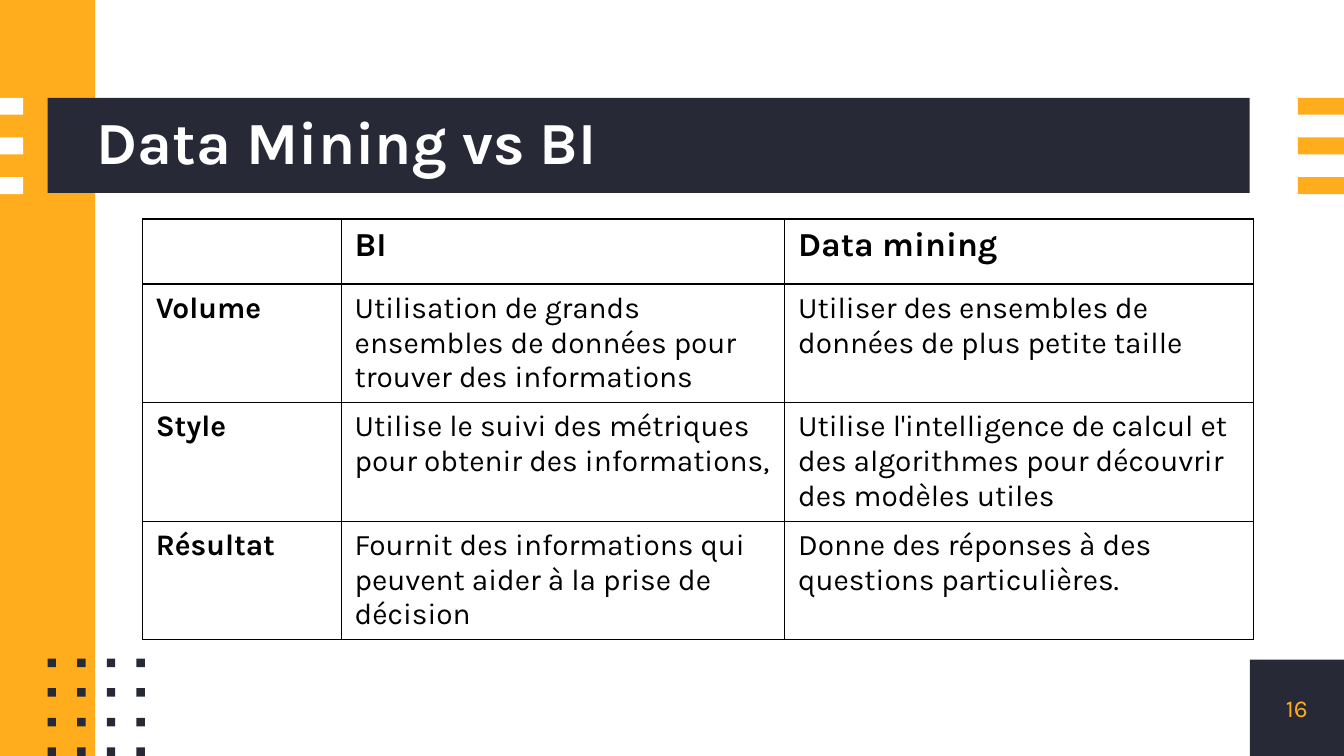
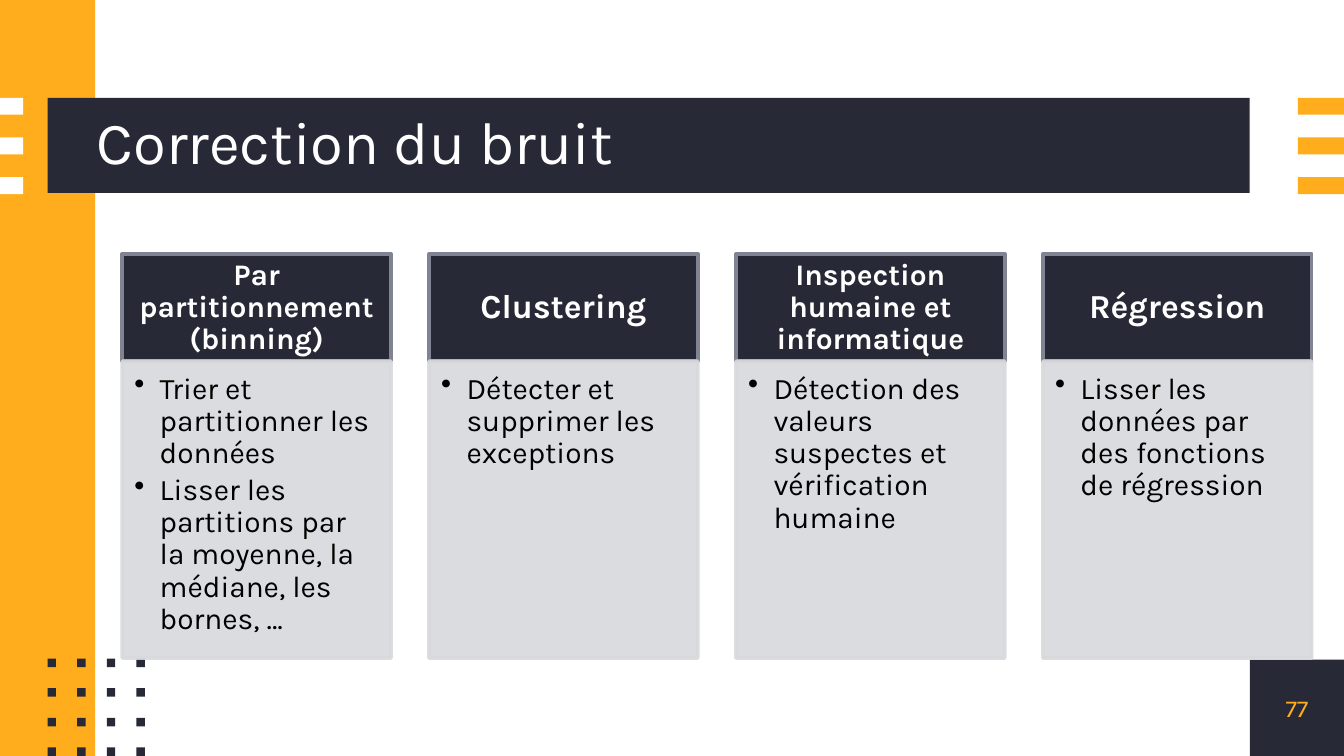
import pptx
import pptx.dml.color
import pptx.enum.shapes
import pptx.enum.text
import pptx.oxml
import pptx.oxml.ns
import pptx.util
from lxml import etree

Cm = pptx.util.Cm
Pt = pptx.util.Pt
Align = pptx.enum.text.PP_ALIGN
Anchor = pptx.enum.text.MSO_ANCHOR

# Shared look
FONT = "Karla"
NAVY, AMBER, WHITE, BLACK = "272A36", "FFAD1D", "FFFFFF", "000000"
GREY_EDGE, PALE_GREY = "808392", "D8D9DC"
SLIDE_W, SLIDE_H = 25.4, 14.29
BAND_LEFT, BAND_TOP, BAND_H = 0.9, 1.85, 1.8
PAGE_LEFT, PAGE_TOP = 23.62, 12.47

# Comparison table
TABLE_LEFT, TABLE_TOP = 2.69, 4.14
TABLE_COLUMNS = (3.76, 8.38, 8.86)
TABLE_ROWS = (1.23, 2.24, 2.24, 2.24)
COMPARISON = (
    ("", "BI", "Data mining"),
    ("Volume",
     "Utilisation de grands ensembles de données pour trouver des informations",
     "Utiliser des ensembles de données de plus petite taille"),
    ("Style",
     "Utilise le suivi des métriques pour obtenir des informations,",
     "Utilise l'intelligence de calcul et des algorithmes pour découvrir "
     "des modèles utiles"),
    ("Résultat",
     "Fournit des informations qui peuvent aider à la prise de décision",
     "Donne des réponses à des questions particulières."),
)

# Noise correction cards: heading, heading size, bullets
CARD_LEFT, CARD_PITCH, CARD_W = 2.31, 5.8, 5.08
HEADING_TOP, HEADING_H, DETAIL_H = 4.8, 2.03, 5.61
METHODS = (
    ("Par partitionnement (binning)", 16,
     ("Trier et partitionner les données",
      "Lisser les partitions par la moyenne, la médiane, les bornes, …")),
    ("Clustering", 18, ("Détecter et supprimer les exceptions",)),
    ("Inspection humaine et informatique", 16,
     ("Détection des valeurs suspectes et vérification humaine",)),
    ("Régression", 18, ("Lisser les données par des fonctions de régression",)),
)


def color(hex_value):
    return pptx.dml.color.RGBColor.from_string(hex_value)


def add_run(paragraph, text, size, hex_value, bold=False):
    run = paragraph.add_run()
    run.text = text
    run.font.name = FONT
    run.font.size = Pt(size)
    run.font.bold = bold
    run.font.color.rgb = color(hex_value)


def set_frame(frame, insets, anchor=Anchor.MIDDLE):
    frame.word_wrap = True
    frame.auto_size = pptx.enum.text.MSO_AUTO_SIZE.NONE
    frame.vertical_anchor = anchor
    (frame.margin_left, frame.margin_top,
     frame.margin_right, frame.margin_bottom) = map(Cm, insets)


def add_rect(slide, left, top, width, height, fill, edge=None):
    rect = slide.shapes.add_shape(
        pptx.enum.shapes.MSO_SHAPE.RECTANGLE,
        Cm(left), Cm(top), Cm(width), Cm(height))
    rect.shadow.inherit = False
    rect.fill.solid()
    rect.fill.fore_color.rgb = color(fill)
    if edge:
        rect.line.color.rgb = color(edge)
        rect.line.width = Pt(2)
    else:
        rect.line.fill.background()
    return rect


def set_opacity(shape, percent):
    """Apply one opacity to the fill and the outline."""
    properties = shape.element.spPr
    for tone in properties.iter(pptx.oxml.ns.qn("a:srgbClr")):
        alpha = etree.SubElement(tone, pptx.oxml.ns.qn("a:alpha"))
        alpha.set("val", str(percent * 1000))


def add_bullet(paragraph):
    properties = paragraph._p.get_or_add_pPr()
    properties.set("marL", str(Cm(0.48)))
    properties.set("indent", str(-Cm(0.48)))
    bullet_color = etree.SubElement(properties, pptx.oxml.ns.qn("a:buClr"))
    etree.SubElement(bullet_color, pptx.oxml.ns.qn("a:srgbClr")).set("val", BLACK)
    etree.SubElement(properties, pptx.oxml.ns.qn("a:buChar")).set("char", "•")


def set_borders(cell):
    properties = cell._tc.get_or_add_tcPr()
    for position, side in enumerate(("lnL", "lnR", "lnT", "lnB")):
        border = pptx.oxml.parse_xml(
            f'<a:{side} {pptx.oxml.ns.nsdecls("a")} w="{Pt(0.75)}"><a:solidFill>'
            f'<a:srgbClr val="{BLACK}"/></a:solidFill></a:{side}>')
        properties.insert(position, border)


def add_decor(slide):
    add_rect(slide, 0, 0, 1.8, SLIDE_H, AMBER)
    add_rect(slide, BAND_LEFT, BAND_TOP, PAGE_LEFT - BAND_LEFT, BAND_H, NAVY)
    # Stripes at both edges
    for left, width, fill in ((0, 0.44, WHITE), (24.53, 0.87, AMBER)):
        for step in range(3):
            add_rect(slide, left, BAND_TOP + step * 0.75, width, 0.32, fill)
    # Dot grid
    for row in range(4):
        for column in range(4):
            add_rect(slide, 0.9 + column * 0.56, 12.45 + row * 0.56,
                     0.16, 0.16, NAVY)


def add_page_number(slide, number):
    page = add_rect(slide, PAGE_LEFT, PAGE_TOP, SLIDE_W - PAGE_LEFT,
                    SLIDE_H - PAGE_TOP, NAVY)
    set_frame(page.text_frame, (0, 0, 0, 0))
    paragraph = page.text_frame.paragraphs[0]
    paragraph.alignment = Align.CENTER
    add_run(paragraph, str(number), 13, AMBER)


def add_slide(deck, heading, number, bold=False):
    slide = deck.slides.add_slide(deck.slide_layouts[5])
    add_decor(slide)
    add_page_number(slide, number)
    title = slide.shapes.title
    title.left, title.top = Cm(1.83), Cm(BAND_TOP)
    title.width, title.height = Cm(PAGE_LEFT - 1.83), Cm(BAND_H)
    set_frame(title.text_frame, (0, 0, 0, 0))
    paragraph = title.text_frame.paragraphs[0]
    paragraph.alignment = Align.LEFT
    paragraph.line_spacing = 0.9
    add_run(paragraph, heading, 32, WHITE, bold)
    # Bring the title in front of its band
    title.element.getparent().append(title.element)
    return slide


def add_comparison(slide):
    table = slide.shapes.add_table(
        len(TABLE_ROWS), len(TABLE_COLUMNS), Cm(TABLE_LEFT), Cm(TABLE_TOP),
        Cm(sum(TABLE_COLUMNS)), Cm(sum(TABLE_ROWS))).table
    table.first_row = table.horz_banding = False
    for column, width in zip(table.columns, TABLE_COLUMNS):
        column.width = Cm(width)
    for row, height in zip(table.rows, TABLE_ROWS):
        row.height = Cm(height)
    for r, texts in enumerate(COMPARISON):
        for c, text in enumerate(texts):
            cell = table.cell(r, c)
            cell.fill.background()
            set_borders(cell)
            if text:
                add_run(cell.text_frame.paragraphs[0], text,
                        18 if r == 0 else 16, BLACK, r == 0 or c == 0)


def add_card(slide, left, name, size, points):
    heading = add_rect(slide, left, HEADING_TOP, CARD_W, HEADING_H, NAVY, GREY_EDGE)
    set_frame(heading.text_frame, (0.3, 0.18, 0.3, 0.18))
    paragraph = heading.text_frame.paragraphs[0]
    paragraph.alignment = Align.CENTER
    paragraph.line_spacing = 0.9
    add_run(paragraph, name, size, WHITE, True)

    detail = add_rect(slide, left, HEADING_TOP + HEADING_H, CARD_W, DETAIL_H,
                      PALE_GREY, PALE_GREY)
    set_opacity(detail, 90)
    frame = detail.text_frame
    set_frame(frame, (0.23, 0.23, 0.3, 0.36), Anchor.TOP)
    for index, point in enumerate(points):
        paragraph = frame.add_paragraph() if index else frame.paragraphs[0]
        add_bullet(paragraph)
        paragraph.level = 1
        paragraph.alignment = Align.LEFT
        paragraph.line_spacing = 0.9
        paragraph.space_after = Pt(2.5)
        add_run(paragraph, point, 16, BLACK)


def main():
    deck = pptx.Presentation()
    deck.slide_width, deck.slide_height = Cm(SLIDE_W), Cm(SLIDE_H)

    add_comparison(add_slide(deck, "Data Mining vs BI", 16, bold=True))

    noise = add_slide(deck, "Correction du bruit", 77)
    for index, method in enumerate(METHODS):
        add_card(noise, CARD_LEFT + index * CARD_PITCH, *method)

    deck.save("out.pptx")


if __name__ == "__main__":
    main()
